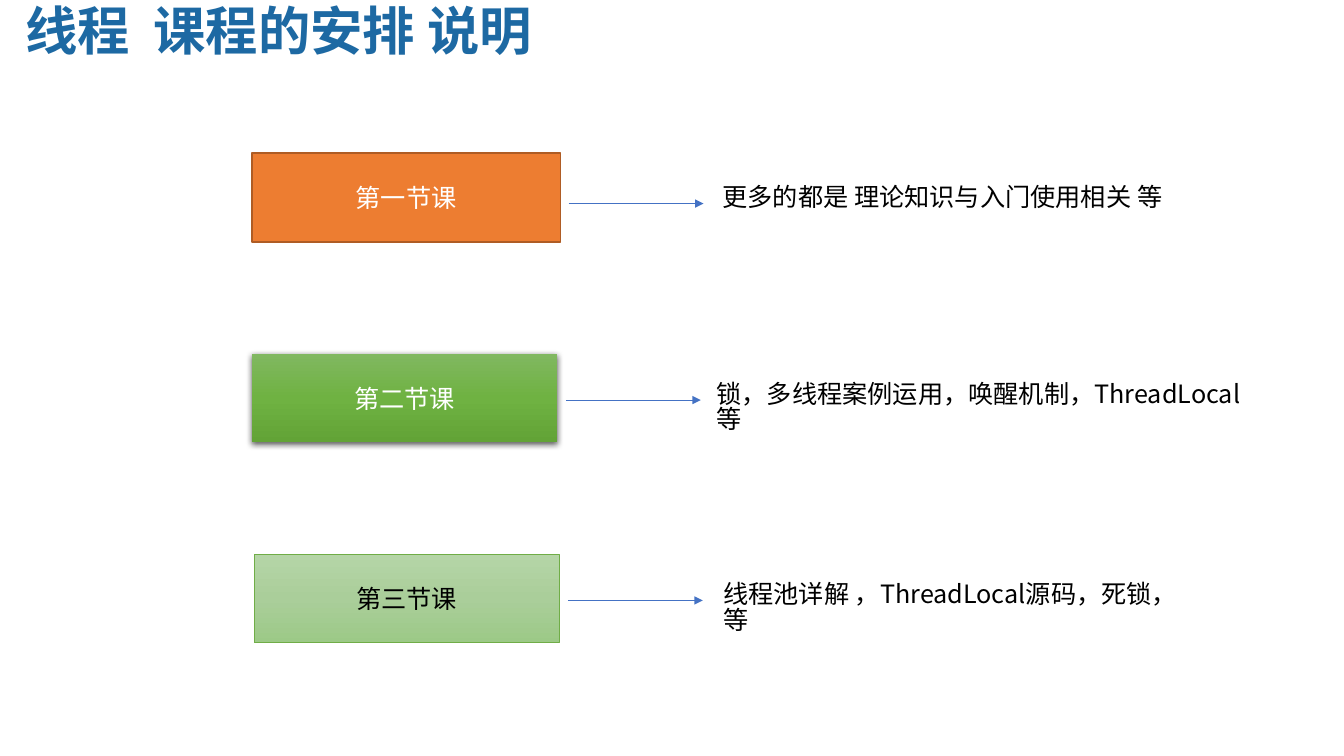
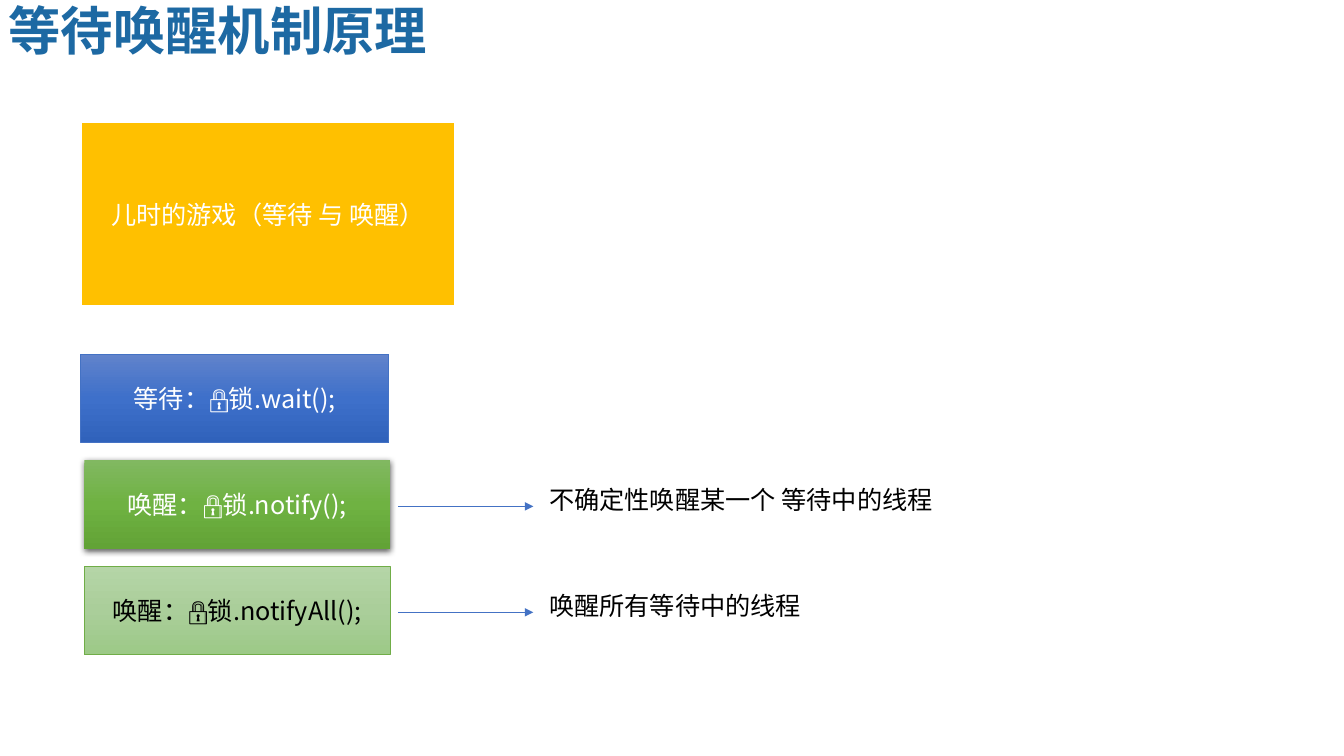
from copy import deepcopy
from dataclasses import dataclass

from lxml import etree
from pptx import Presentation
from pptx import util as u
from pptx.dml.color import RGBColor
from pptx.enum import shapes, text
from pptx.oxml.ns import qn


@dataclass(frozen=True)
class Theme:
    """Fonts, type sizes, colours and spacings shared by the slides."""
    title_font: str = "Arial Narrow"
    body_font: str = "Noto Sans CJK SC"
    title_size: float = 37.4
    body_size: float = 18
    title_spacing: float = 0.9
    note_spacing: float = 0.85
    title: str = "1D69A3"
    light: str = "FFFFFF"
    dark: str = "000000"
    arrow: str = "4472C4"
    box_height: float = 2.24
    arrow_gap: float = 0.21
    arrow_length: float = 3.4
    arrow_drop: float = 0.56


@dataclass(frozen=True)
class BoxStyle:
    """Fill, outline, text colour and shadow of a box."""
    fill: tuple
    ink: str
    outline: str = ""
    outline_width: float = 0.5
    shadow: bool = False


THEME = Theme()
ORANGE = BoxStyle(("ED7D31",), THEME.light, "AF5C24", 1)
GOLD = BoxStyle(("FFC000",), THEME.light, "FFFFFF", 1.5)
BLUE = BoxStyle(("6183CB", "3E70CA", "3062BB"), THEME.light, "4472C4")
GREEN = BoxStyle(("81B861", "6FB242", "62A336"), THEME.light, shadow=True)
PALE_GREEN = BoxStyle(("B5D5A7", "AACE9A", "9CC987"), THEME.dark, "70AD47")


def rgb(value):
    """Return a colour from its hex digits."""
    return RGBColor.from_string(value)


def write(frame, wording, font, size, color, align, bold=False, spacing=1.0):
    """Set one paragraph of text and format its run."""
    frame.text = wording
    frame.word_wrap = True
    paragraph = frame.paragraphs[0]
    paragraph.alignment = align
    paragraph.line_spacing = spacing
    run = paragraph.runs[0]
    run.font.size = u.Pt(size)
    run.font.bold = bold
    run.font.color.rgb = rgb(color)
    run.font.name = font
    east_asian = etree.SubElement(run.font._element, qn("a:ea"))
    east_asian.set("typeface", THEME.body_font)


def add_titled_slide(deck, wording, left, width):
    """Add a slide with its heading in the title placeholder."""
    slide = deck.slides.add_slide(deck.slide_layouts[5])
    heading = slide.shapes.title
    heading.left, heading.top = u.Cm(left), u.Cm(0)
    heading.width, heading.height = u.Cm(width), u.Cm(1.85)
    frame = heading.text_frame
    write(frame, wording, THEME.title_font, THEME.title_size, THEME.title,
          text.PP_ALIGN.CENTER, True, THEME.title_spacing)
    frame.vertical_anchor = text.MSO_ANCHOR.TOP
    frame.auto_size = text.MSO_AUTO_SIZE.NONE
    return slide


def paint(box, colors):
    """Fill a box with one colour or an even downward gradient."""
    if len(colors) == 1:
        box.fill.solid()
        box.fill.fore_color.rgb = rgb(colors[0])
        return
    box.fill.gradient()
    box.fill.gradient_angle = 270
    stop_list = box._element.spPr.find(".//" + qn("a:gsLst"))
    while len(stop_list) < len(colors):
        stop_list.append(deepcopy(stop_list[0]))
    for index, (stop, color) in enumerate(zip(box.fill.gradient_stops, colors)):
        stop.position = index / (len(colors) - 1)
        stop.color.rgb = rgb(color)


def cast_shadow(box):
    """Give a box a soft shadow below it."""
    effects = box._element.spPr.find(qn("a:effectLst"))
    shadow = etree.SubElement(effects, qn("a:outerShdw"), blurRad=str(u.Pt(4.5)),
                              dist=str(u.Pt(1.5)), dir="5400000", algn="ctr",
                              rotWithShape="0")
    color = etree.SubElement(shadow, qn("a:srgbClr"), val=THEME.dark)
    etree.SubElement(color, qn("a:alpha"), val="63000")


def add_box(slide, wording, style, left, top, width, height=THEME.box_height):
    """Add a labelled rectangle."""
    box = slide.shapes.add_shape(shapes.MSO_SHAPE.RECTANGLE, u.Cm(left), u.Cm(top),
                                 u.Cm(width), u.Cm(height))
    box.shadow.inherit = False
    paint(box, style.fill)
    if style.outline:
        box.line.color.rgb = rgb(style.outline)
        box.line.width = u.Pt(style.outline_width)
    else:
        box.line.fill.background()
    if style.shadow:
        cast_shadow(box)
    write(box.text_frame, wording, THEME.body_font, THEME.body_size, style.ink,
          text.PP_ALIGN.CENTER)
    box.text_frame.vertical_anchor = text.MSO_ANCHOR.MIDDLE


def add_arrow(slide, left, y):
    """Add a horizontal arrow pointing right."""
    arrow = slide.shapes.add_connector(
        shapes.MSO_CONNECTOR.STRAIGHT, u.Cm(left), u.Cm(y),
        u.Cm(left + THEME.arrow_length), u.Cm(y))
    arrow.line.color.rgb = rgb(THEME.arrow)
    arrow.line.width = u.Pt(0.5)
    properties = arrow._element.spPr
    etree.SubElement(properties.find(qn("a:ln")), qn("a:tailEnd"), type="triangle")
    etree.SubElement(properties, qn("a:effectLst"))


def add_note(slide, wording, left, top, width, height=1.02):
    """Add a left-aligned explanation."""
    note = slide.shapes.add_textbox(u.Cm(left), u.Cm(top), u.Cm(width), u.Cm(height))
    write(note.text_frame, wording, THEME.body_font, THEME.body_size, THEME.dark,
          text.PP_ALIGN.LEFT, spacing=THEME.note_spacing)
    note.text_frame.auto_size = text.MSO_AUTO_SIZE.SHAPE_TO_FIT_TEXT


def add_explained_box(slide, label, style, box_place, explanation, note_place):
    """Add a box, an arrow and the explanation it points to."""
    left, top, width = box_place
    add_box(slide, label, style, left, top, width)
    add_arrow(slide, left + width + THEME.arrow_gap, note_place[1] + THEME.arrow_drop)
    add_note(slide, explanation, *note_place)


def build_lessons(deck):
    """Build the course plan slide."""
    slide = add_titled_slide(deck, "线程  课程的安排 说明", 0, 14.05)
    lessons = [
        ("第一节课", ORANGE, 6.35, 7.77,
         "更多的都是 理论知识与入门使用相关 等", 17.96, 0.71, 12.34),
        ("第二节课", GREEN, 6.35, 7.7,
         "锁，多线程案例运用，唤醒机制，ThreadLocal 等", 17.81, 0.61, 14.3),
        ("第三节课", PALE_GREEN, 6.4, 7.7,
         "线程池详解 ，ThreadLocal源码，死锁，等", 17.98, 0.61, 11.86),
    ]
    for index, lesson in enumerate(lessons):
        label, style, left, width, topics, note_left, note_drop, note_width = lesson
        top = 3.86 + 5.05 * index
        add_explained_box(slide, label, style, (left, top, width), topics,
                          (note_left, top + note_drop, note_width))


def build_wait_notify(deck):
    """Build the wait and notify slide."""
    slide = add_titled_slide(deck, "等待唤醒机制原理", -0.23, 11.46)
    add_box(slide, "儿时的游戏（等待 与 唤醒）", GOLD, 2.03, 3.07, 9.45, 4.65)
    first_top, step = 8.92, 2.67
    add_box(slide, "等待：🔒锁.wait();", BLUE, 2.03, first_top, 7.77)
    wake_calls = [
        ("唤醒：🔒锁.notify();", GREEN, "不确定性唤醒某一个 等待中的线程"),
        ("唤醒：🔒锁.notifyAll();", PALE_GREEN, "唤醒所有等待中的线程"),
    ]
    for index, (call, style, effect) in enumerate(wake_calls, start=1):
        top = first_top + step * index
        add_explained_box(slide, call, style, (2.13, top, 7.7), effect,
                          (13.59, top + 0.61, 10.54))


def main():
    """Build and save the deck."""
    deck = Presentation()
    deck.slide_width, deck.slide_height = u.Cm(33.87), u.Cm(19.05)
    build_lessons(deck)
    build_wait_notify(deck)
    deck.save("out.pptx")


main()
